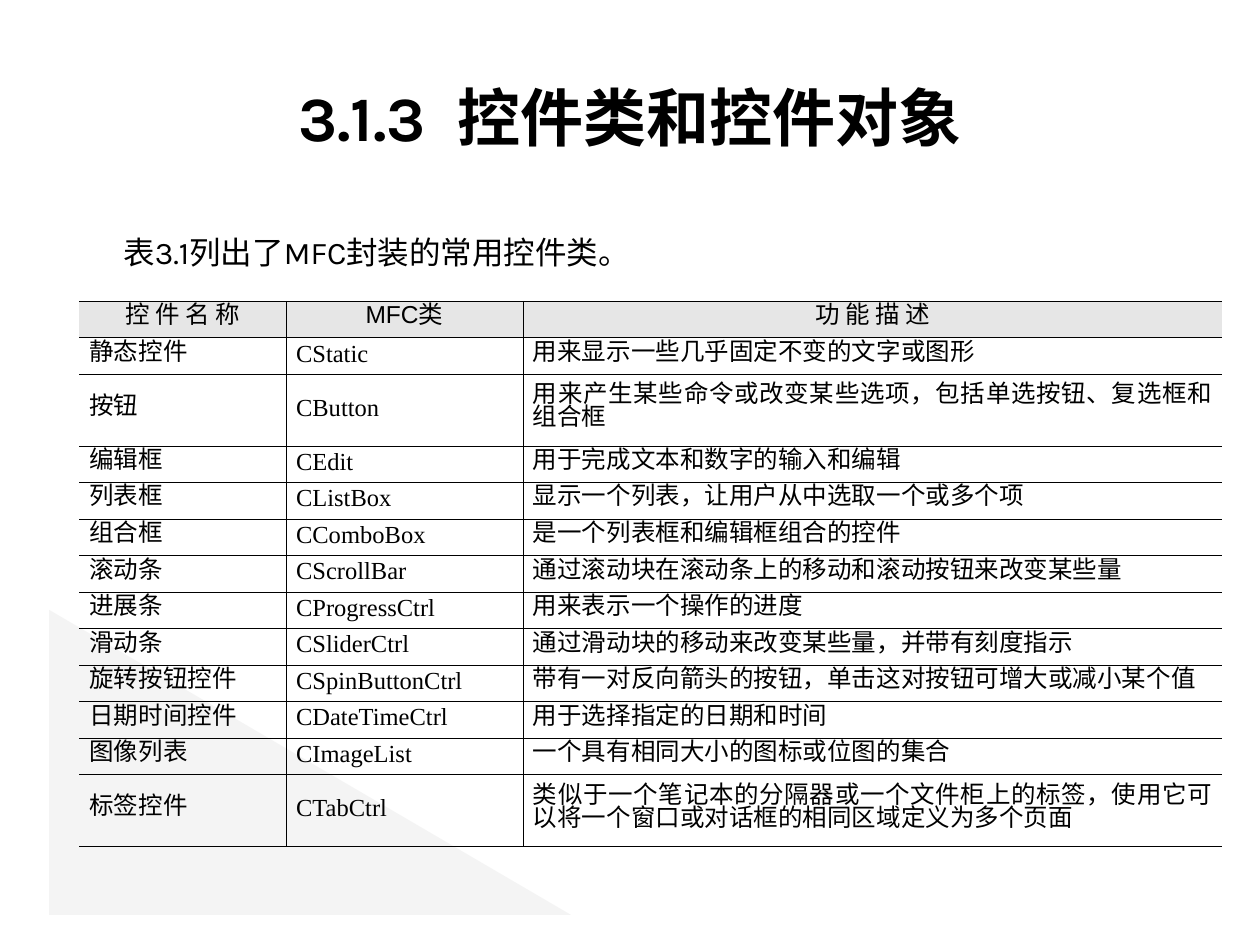
from lxml.etree import SubElement
from pptx import Presentation
from pptx.dml.color import RGBColor
from pptx.enum.shapes import MSO_SHAPE
from pptx.enum.text import MSO_ANCHOR, MSO_AUTO_SIZE, PP_ALIGN
from pptx.oxml.ns import qn
from pptx.util import Inches, Pt

TITLE = "3.1.3  控件类和控件对象"
CAPTION = "表3.1列出了MFC封装的常用控件类。"
HEADER = ("控 件 名 称", "MFC类", "功 能 描 述")
CONTROLS = [
    ("静态控件", "CStatic", "用来显示一些几乎固定不变的文字或图形"),
    ("按钮", "CButton", "用来产生某些命令或改变某些选项，包括单选按钮、复选框和组合框"),
    ("编辑框", "CEdit", "用于完成文本和数字的输入和编辑"),
    ("列表框", "CListBox", "显示一个列表，让用户从中选取一个或多个项"),
    ("组合框", "CComboBox", "是一个列表框和编辑框组合的控件"),
    ("滚动条", "CScrollBar", "通过滚动块在滚动条上的移动和滚动按钮来改变某些量"),
    ("进展条", "CProgressCtrl", "用来表示一个操作的进度"),
    ("滑动条", "CSliderCtrl", "通过滑动块的移动来改变某些量，并带有刻度指示"),
    ("旋转按钮控件", "CSpinButtonCtrl", "带有一对反向箭头的按钮，单击这对按钮可增大或减小某个值"),
    ("日期时间控件", "CDateTimeCtrl", "用于选择指定的日期和时间"),
    ("图像列表", "CImageList", "一个具有相同大小的图标或位图的集合"),
    ("标签控件", "CTabCtrl",
     "类似于一个笔记本的分隔器或一个文件柜上的标签，使用它可以将一个窗口或对话框的相同区域定义为多个页面"),
]
COLUMN_WIDTHS = (1.64, 1.88, 5.55)
ROW_HEIGHT, TALL_ROW_HEIGHT = 0.29, 0.57
TALL_ROWS = (2, 12)
PLAIN_TABLE_STYLE = "{2D5ABB26-0587-4C30-8999-92F81FD0307C}"


def color(value):
    return RGBColor.from_string(value)


def write(frame, text, size, font, align=PP_ALIGN.LEFT, bold=False, spacing=None):
    para = frame.paragraphs[0]
    para.alignment = align
    if spacing:
        para.line_spacing = Pt(spacing)
    span = para.add_run()
    span.text = text
    span.font.size = Pt(size)
    span.font.name = font
    span.font.bold = bold
    span.font.color.rgb = color("000000")


def draw_borders(cell, sides):
    """Rule the named sides (L, R, T, B) of a cell and leave the others open."""
    properties = cell._tc.get_or_add_tcPr()
    for side in "LRTB":
        line = SubElement(properties, qn(f"a:ln{side}"), w=str(Pt(0.45)))
        if side in sides:
            fill = SubElement(line, qn("a:solidFill"))
            SubElement(fill, qn("a:srgbClr"), val="000000")
        else:
            SubElement(line, qn("a:noFill"))


def add_corner(page):
    corner = page.shapes.add_shape(MSO_SHAPE.RIGHT_TRIANGLE, Inches(0.39), Inches(4.84),
                                   Inches(4.14), Inches(2.42))
    corner.shadow.inherit = False
    corner.line.fill.background()
    corner.fill.solid()
    corner.fill.fore_color.rgb = color("F2F2F2")
    tint = corner._element.spPr.find(qn("a:solidFill"))[0]
    SubElement(tint, qn("a:alpha"), val="83000")


def add_title(page):
    title = page.shapes.title
    title.left, title.top = Inches(0.5), Inches(0.3)
    title.width, title.height = Inches(9), Inches(1.25)
    title.text_frame.vertical_anchor = MSO_ANCHOR.MIDDLE
    write(title.text_frame, TITLE, 36, "Karla", align=PP_ALIGN.CENTER, bold=True)


def add_caption(page):
    box = page.shapes.add_textbox(Inches(0.88), Inches(1.8), Inches(4.55), Inches(0.4))
    box.text_frame.word_wrap = False
    box.text_frame.auto_size = MSO_AUTO_SIZE.SHAPE_TO_FIT_TEXT
    write(box.text_frame, CAPTION, 18, "Karla")


def add_control_table(page):
    rows = [HEADER] + CONTROLS
    heights = [TALL_ROW_HEIGHT if i in TALL_ROWS else ROW_HEIGHT for i in range(len(rows))]
    table = page.shapes.add_table(len(rows), len(HEADER), Inches(0.63), Inches(2.39),
                                  Inches(sum(COLUMN_WIDTHS)), Inches(sum(heights))).table
    table.first_row = table.horz_banding = False
    table._tbl.tblPr.find(qn("a:tableStyleId")).text = PLAIN_TABLE_STYLE
    for column, width in zip(table.columns, COLUMN_WIDTHS):
        column.width = Inches(width)
    for row, height in zip(table.rows, heights):
        row.height = Inches(height)

    for i, texts in enumerate(rows):
        is_header = i == 0
        for j, (text, sides) in enumerate(zip(texts, ("RTB", "LRTB", "LTB"))):
            cell = table.cell(i, j)
            cell.vertical_anchor = MSO_ANCHOR.MIDDLE
            cell.margin_left = cell.margin_right = Inches(0.08)
            cell.margin_top = cell.margin_bottom = Inches(0.05)
            draw_borders(cell, sides)
            if is_header:
                cell.fill.solid()
                cell.fill.fore_color.rgb = color("E6E6E6")
            else:
                cell.fill.background()
            write(cell.text_frame, text, 14,
                  "Arial" if is_header and j == 1 else "Times New Roman",
                  align=PP_ALIGN.CENTER if is_header else PP_ALIGN.JUSTIFY, spacing=13)


def main():
    deck = Presentation()
    deck.slide_width, deck.slide_height = Inches(10), Inches(7.5)
    page = deck.slides.add_slide(deck.slide_layouts[5])
    add_corner(page)
    add_title(page)
    add_caption(page)
    add_control_table(page)
    deck.save("out.pptx")


if __name__ == "__main__":
    main()
